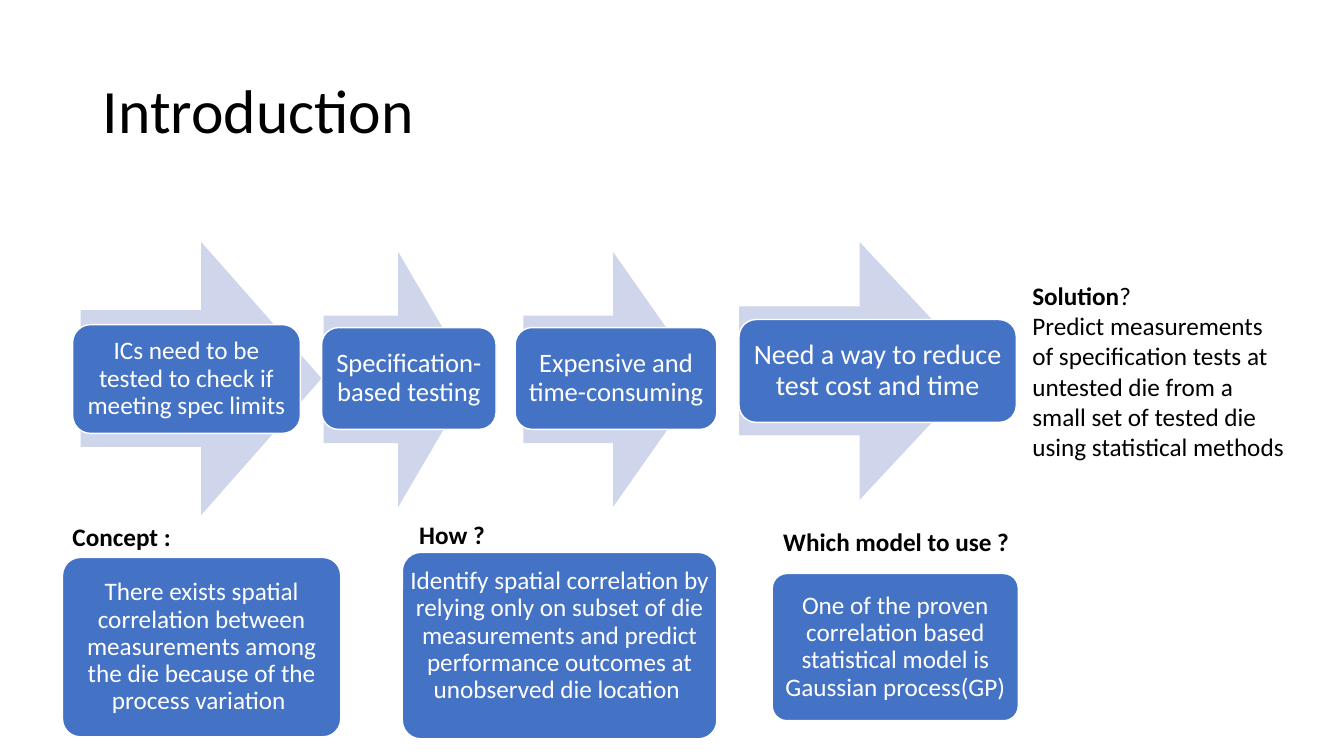
from pptx import Presentation
from pptx.dml.color import RGBColor
from pptx.enum.shapes import MSO_SHAPE
from pptx.enum.text import MSO_ANCHOR, PP_ALIGN
from pptx.util import Inches, Pt

BLUE, PALE, WHITE, BLACK = "4472C4", "CFD5EA", "FFFFFF", "000000"

# arrow place, box place, text size, inset, text
STEPS = [
    ((0.8, 2.4, 2.39, 2.71), (0.72, 3.22, 2.26, 1.08), 18, 0.07,
     "ICs need to be tested to check if meeting spec limits"),
    ((3.21, 2.5, 1.48, 2.53), (3.19, 3.25, 1.73, 1.01), 19, 0.08,
     "Specification-based testing"),
    ((5.19, 2.5, 1.78, 2.53), (5.11, 3.25, 2, 1.01), 19, 0.08,
     "Expensive and time-consuming"),
    ((7.33, 2.4, 2.39, 2.56), (7.33, 3.17, 2.75, 1.02), 20, 0.08,
     "Need a way to reduce test cost and time"),
]
# box place, insets (left, top, right, bottom), text
CARDS = [
    ((0.62, 5.53, 2.76, 1.78), (0.07,) * 4,
     "There exists spatial correlation between measurements among "
     "the die because of the process variation "),
    ((3.99, 5.48, 3.12, 1.85), (0, 0, 0, 0.19),
     "Identify spatial correlation by relying only on subset of die "
     "measurements and predict performance outcomes at unobserved "
     "die location "),
    ((7.66, 5.69, 2.44, 1.46), (0.07,) * 4,
     "One of the proven correlation based statistical model is "
     "Gaussian process(GP) "),
]
HEADS = [
    ((0.62, 5.12, 1.19, 0.4), "Concept :"),
    ((4.06, 5.1, 0.86, 0.4), "How ?"),
    ((7.67, 5.17, 2.46, 0.4), "Which model to use ?"),
]
# paragraphs of (text, bold) runs
ANSWER = [
    [("Solution", True), ("?", False)],
    [("Predict measurements of specification tests at untested die from a "
      "small set of tested die using statistical methods", False)],
]


def color(code):
    return RGBColor.from_string(code)


def inches(place):
    return [Inches(n) for n in place]


def add_run(para, text, size, code, bold=False):
    run = para.add_run()
    run.text = text
    font = run.font
    font.name, font.size, font.bold = "Calibri", Pt(size), bold
    font.color.rgb = color(code)


def add_form(slide, kind, place, fill, line=None):
    form = slide.shapes.add_shape(kind, *inches(place))
    form.shadow.inherit = False
    form.fill.solid()
    form.fill.fore_color.rgb = color(fill)
    if line:
        form.line.color.rgb = color(line)
        form.line.width = Pt(1)
    else:
        form.line.fill.background()
    return form


def add_box(slide, place, text, size, pads, curve=None):
    """Add a blue rounded box with centred white text."""
    box = add_form(slide, MSO_SHAPE.ROUNDED_RECTANGLE, place, BLUE, WHITE)
    if curve:
        box.adjustments[0] = curve
    frame = box.text_frame
    frame.word_wrap = True
    frame.vertical_anchor = MSO_ANCHOR.MIDDLE
    (frame.margin_left, frame.margin_top,
     frame.margin_right, frame.margin_bottom) = inches(pads)
    para = frame.paragraphs[0]
    para.alignment = PP_ALIGN.CENTER
    para.line_spacing = 0.9
    add_run(para, text, size, WHITE)


def add_note(slide, place, paras, wrap):
    """Add a plain text box from paragraphs of (text, bold) runs."""
    frame = slide.shapes.add_textbox(*inches(place)).text_frame
    frame.word_wrap = wrap
    for i, runs in enumerate(paras):
        para = frame.add_paragraph() if i else frame.paragraphs[0]
        for text, bold in runs:
            add_run(para, text, 18, BLACK, bold)


def main():
    deck = Presentation()
    deck.slide_width, deck.slide_height = Inches(13.33), Inches(7.5)
    slide = deck.slides.add_slide(deck.slide_layouts[5])

    title = slide.shapes.title
    title.left, title.top, title.width, title.height = inches(
        (0.92, 0.4, 11.5, 1.45))
    title.text_frame.vertical_anchor = MSO_ANCHOR.MIDDLE
    para = title.text_frame.paragraphs[0]
    para.alignment = PP_ALIGN.LEFT
    para.line_spacing = 0.9
    add_run(para, "Introduction", 44, BLACK)

    for arrow, box, size, pad, text in STEPS:
        add_form(slide, MSO_SHAPE.RIGHT_ARROW, arrow, PALE)
        add_box(slide, box, text, size, (pad,) * 4)
    for place, pads, text in CARDS:
        add_box(slide, place, text, 18, pads, 0.1)
    for place, text in HEADS:
        add_note(slide, place, [[(text, True)]], False)
    add_note(slide, (10.14, 2.73, 2.72, 1.92), ANSWER, True)

    deck.save("out.pptx")


if __name__ == "__main__":
    main()
